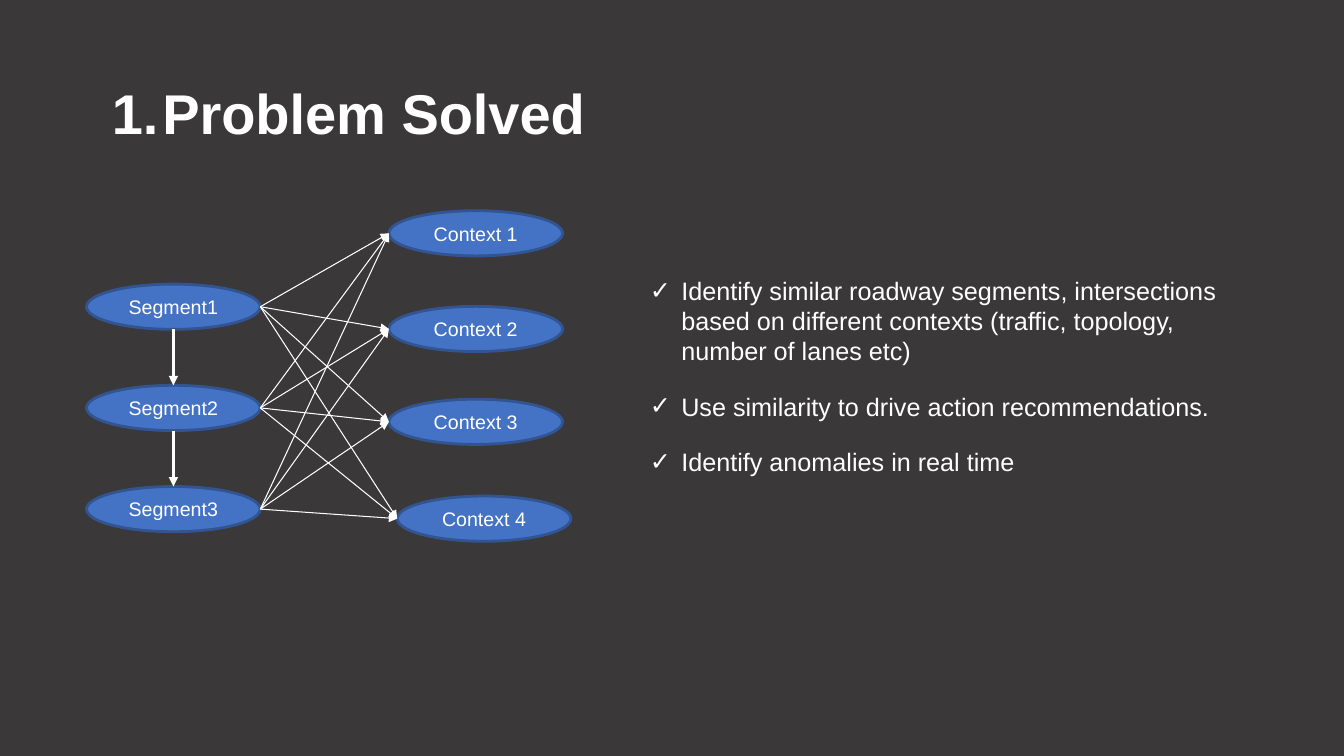
from itertools import pairwise, product

from lxml import etree
from pptx import Presentation
from pptx.dml.color import RGBColor
from pptx.enum import shapes, text
from pptx.oxml import ns
from pptx.util import Cm, Pt

TITLE = "Problem Solved"
SEGMENTS = ["Segment1", "Segment2", "Segment3"]
CONTEXTS = [  # label, left, top in cm
    ("Context 1", 9.8, 5.31),
    ("Context 2", 9.8, 7.72),
    ("Context 3", 9.8, 10.06),
    ("Context 4", 10.01, 12.5),
]
POINTS = [
    "Identify similar roadway segments, intersections based on different "
    "contexts (traffic, topology, number of lanes etc)",
    "Use similarity to drive action recommendations.",
    "Identify anomalies in real time",
]

FONT = "Arial"
BACKGROUND = RGBColor(0x3A, 0x38, 0x38)
WHITE = RGBColor(0xFF, 0xFF, 0xFF)
BLUE = RGBColor(0x44, 0x72, 0xC4)
DARK_BLUE = RGBColor(0x32, 0x54, 0x91)

NODE_W, NODE_H = 4.38, 1.14
SEGMENT_LEFT, SEGMENT_TOP, SEGMENT_STEP = 2.18, 7.16, 2.55


def style(p, size, bold=False):
    for r in p.runs:
        r.font.name = FONT
        r.font.size = Pt(size)
        r.font.bold = bold
        r.font.color.rgb = WHITE


def hang(p, margin, indent, tag, **attributes):
    """Give a paragraph a hanging indent and a white bullet or number."""
    pPr = p._p.get_or_add_pPr()
    pPr.set("marL", str(Cm(margin)))
    pPr.set("indent", str(Cm(indent)))
    color = etree.SubElement(pPr, ns.qn("a:buClr"))
    etree.SubElement(color, ns.qn("a:srgbClr"), val=str(WHITE))
    etree.SubElement(pPr, ns.qn("a:buFont"), typeface=FONT)
    etree.SubElement(pPr, ns.qn(tag), **attributes)


def add_text(s, left, top, width, height):
    tf = s.shapes.add_textbox(Cm(left), Cm(top), Cm(width), Cm(height)).text_frame
    tf.word_wrap = True
    return tf


def add_node(s, label, left, top):
    sp = s.shapes.add_shape(shapes.MSO_SHAPE.OVAL, Cm(left), Cm(top), Cm(NODE_W), Cm(NODE_H))
    sp.shadow.inherit = False
    sp.fill.solid()
    sp.fill.fore_color.rgb = BLUE
    sp.line.color.rgb = DARK_BLUE
    sp.line.width = Pt(2)
    tf = sp.text_frame
    tf.text = label
    tf.vertical_anchor = text.MSO_ANCHOR.MIDDLE
    p = tf.paragraphs[0]
    p.alignment = text.PP_ALIGN.CENTER
    style(p, 14)
    return sp


def add_arrow(s, start, end, width):
    line = s.shapes.add_connector(shapes.MSO_CONNECTOR.STRAIGHT, *start, *end)
    line.line.color.rgb = WHITE
    line.line.width = Pt(width)
    etree.SubElement(line.line._get_or_add_ln(), ns.qn("a:tailEnd"), type="triangle")
    etree.SubElement(line._element.spPr, ns.qn("a:effectLst"))


def main():
    prs = Presentation()
    prs.slide_width, prs.slide_height = Cm(33.87), Cm(19.05)
    s = prs.slides.add_slide(prs.slide_layouts[6])
    s.background.fill.solid()
    s.background.fill.fore_color.rgb = BACKGROUND

    tf = add_text(s, 2.57, 1.85, 17.48, 1.96)
    tf.text = TITLE
    p = tf.paragraphs[0]
    hang(p, 1.27, -1.35, "a:buAutoNum", type="arabicPeriod")
    style(p, 40, bold=True)

    segments = [add_node(s, label, SEGMENT_LEFT, SEGMENT_TOP + i * SEGMENT_STEP)
                for i, label in enumerate(SEGMENTS)]
    contexts = [add_node(s, *context) for context in CONTEXTS]

    for upper, lower in pairwise(segments):
        x = upper.left + upper.width // 2
        add_arrow(s, (x, upper.top + upper.height), (x, lower.top), 2.25)
    for segment, context in product(segments, contexts):
        add_arrow(s, (segment.left + segment.width, segment.top + segment.height // 2),
                  (context.left, context.top + context.height // 2), 0.75)

    tf = add_text(s, 16.13, 6.81, 15.88, 5.38)
    tf.text = "\n".join(POINTS)
    for p in tf.paragraphs:
        p.space_before, p.space_after = Pt(12), Pt(6)
        hang(p, 0.79, -0.79, "a:buChar", char="✓")
        style(p, 18)

    prs.save("out.pptx")


if __name__ == "__main__":
    main()
